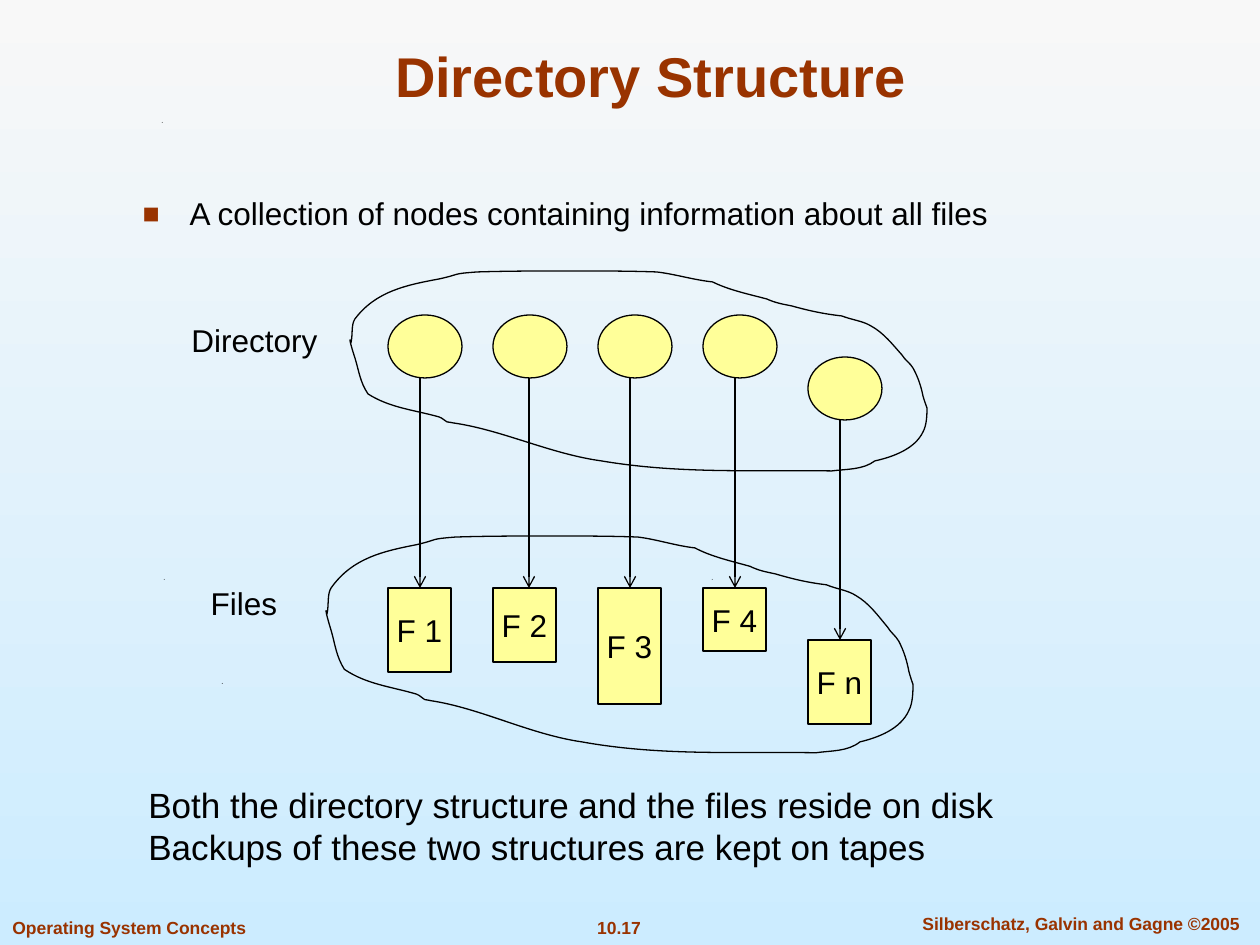
from pptx import Presentation, util as u
from pptx.dml import color
from pptx.enum import shapes, text
from pptx.oxml import ns
from lxml import etree

SCALE = 914400 / 126
BLACK, RUST, YELLOW = "000000", "993300", "FFFF99"
OUTLINE_SIZE = 576, 203
OUTLINE = [
    (1, 72), (3, 63), (1, 54), (5, 48), (26, 20), (57, 14), (89, 8),
    (112, 3), (100, 3), (127, 1), (159, 0), (190, 0), (223, 0),
    (251, 0), (278, 0), (306, 1), (324, 3), (343, 9), (362, 11),
    (378, 19), (397, 23), (416, 28), (425, 32), (431, 33), (441, 35),
    (459, 40), (473, 43), (491, 45), (501, 49), (512, 50), (520, 55),
    (533, 62), (542, 74), (551, 84), (554, 89), (559, 92), (562, 97),
    (567, 106), (570, 115), (572, 125), (573, 129), (576, 137), (576, 137),
    (576, 142), (576, 154), (572, 161), (564, 178), (542, 186), (524, 190),
    (512, 199), (496, 198), (481, 200), (401, 199), (328, 203), (251, 190),
    (200, 183), (152, 159), (103, 152), (101, 152), (100, 151), (97, 151),
    (95, 150), (92, 147), (89, 146), (64, 139), (40, 137), (18, 123),
    (10, 111), (9, 100), (5, 87), (5, 87), (0, 72), (0, 69),
    (0, 68), (1, 71), (1, 72),
]


def px(value):
    return u.Emu(round(value * SCALE))


def rgb(value):
    return color.RGBColor.from_string(value)


def place(shape, box):
    shape.left, shape.top, shape.width, shape.height = map(px, box)


def add_child(parent, tag, **attributes):
    return etree.SubElement(parent, ns.qn(tag), attributes)


def write(shape, lines, size, hue=BLACK, bold=False, align=text.PP_ALIGN.LEFT,
          anchor=text.MSO_ANCHOR.TOP, wrap=True, before=0):
    frame = shape.text_frame
    frame.text = "\n".join(lines)
    frame.auto_size = text.MSO_AUTO_SIZE.NONE
    frame.word_wrap = wrap
    frame.vertical_anchor = anchor
    for paragraph in frame.paragraphs:
        paragraph.alignment = align
        paragraph.space_before = u.Pt(before)
        font = paragraph.font
        font.name, font.size, font.bold = "Arial", u.Pt(size), bold
        font.color.rgb = rgb(hue)


def add_label(slide, box, lines, size, **style):
    label = slide.shapes.add_textbox(*map(px, box))
    write(label, lines, size, **style)


def draw_line(line):
    line.color.rgb = rgb(BLACK)
    line.width = u.Pt(0.74)


def add_node(slide, kind, box):
    node = slide.shapes.add_shape(kind, *map(px, box))
    node.shadow.inherit = False
    node.fill.solid()
    node.fill.fore_color.rgb = rgb(YELLOW)
    draw_line(node.line)
    return node


def add_arrow(slide, x, top, bottom):
    arrow = slide.shapes.add_connector(
        shapes.MSO_CONNECTOR.STRAIGHT, px(x), px(top), px(x), px(bottom))
    draw_line(arrow.line)
    properties = arrow._element.spPr
    add_child(properties.find(ns.qn("a:ln")), "a:tailEnd", type="arrow")
    add_child(properties, "a:effectLst")


def add_freeform(slide, points):
    points = [(px(x), px(y)) for x, y in points]
    builder = slide.shapes.build_freeform(*points[0])
    builder.add_line_segments(points[1:], close=True)
    freeform = builder.convert_to_shape()
    freeform.shadow.inherit = False
    return freeform


def bend(freeform):
    segments = list(freeform._element.iter(ns.qn("a:lnTo")))
    for start in range(0, len(segments) - 2, 3):
        curve = etree.Element(ns.qn("a:cubicBezTo"))
        segments[start].addprevious(curve)
        for segment in segments[start:start + 3]:
            curve.append(segment[0])
            segment.getparent().remove(segment)


def add_outline(slide, box):
    left, top, width, height = box
    outline = add_freeform(slide, [
        (left + x * width / OUTLINE_SIZE[0], top + y * height / OUTLINE_SIZE[1])
        for x, y in OUTLINE])
    bend(outline)
    outline.fill.background()
    draw_line(outline.line)


def add_specks(slide, corners):
    for x, y in corners:
        speck = add_freeform(slide, [(x, y + 1), (x + 1, y), (x, y + 0.5)])
        speck.fill.solid()
        speck.fill.fore_color.rgb = rgb(BLACK)
        speck.line.fill.background()


def fill_background(slide):
    fill = slide.background.fill
    fill.gradient()
    fill.gradient_angle = 270
    for stop, hue in zip(fill.gradient_stops, ("F8F8F8", "CCECFF")):
        stop.color.rgb = rgb(hue)


def add_heading(slide, box):
    title = slide.shapes.title
    place(title, box)
    write(title, ["Directory Structure"], 32, hue=RUST, bold=True,
          align=text.PP_ALIGN.CENTER, anchor=text.MSO_ANCHOR.BOTTOM)


def add_bullet(slide, box):
    body = slide.placeholders[1]
    place(body, box)
    write(body, ["A collection of nodes containing information about all files"],
          18, before=7.9)
    paragraph = body.text_frame.paragraphs[0]
    paragraph.line_spacing = 0.9
    properties = paragraph._p.get_or_add_pPr()
    properties.set("marL", str(px(47)))
    properties.set("indent", str(px(-47)))
    bullet = [etree.Element(ns.qn(tag)) for tag in ("a:buClr", "a:buSzPct", "a:buFont", "a:buChar")]
    add_child(bullet[0], "a:srgbClr", val=RUST)
    bullet[1].set("val", "90000")
    bullet[2].set("typeface", "Arial")
    bullet[3].set("char", "■")
    default_run = properties.find(ns.qn("a:defRPr"))
    for element in bullet:
        default_run.addprevious(element)


def add_diagram(slide, box):
    left, top = box[:2]
    files = [("F 1", 32, 0, 0, 84), ("F 2", 36, 0, 0, 74), ("F 3", 32, 0, 0, 116),
             ("F 4", 32, 0, 0, 63), ("F n", 32, 42, 52, 84)]
    for index, (name, stem, node_drop, file_drop, height) in enumerate(files):
        x = left + 62 + 105 * index
        node_top, file_top = top + 44 + node_drop, top + 317 + file_drop
        add_node(slide, shapes.MSO_SHAPE.OVAL, (x, node_top, 74, 63))
        file = add_node(slide, shapes.MSO_SHAPE.RECTANGLE, (x, file_top, 63, height))
        write(file, [name], 18, align=text.PP_ALIGN.CENTER,
              anchor=text.MSO_ANCHOR.MIDDLE, wrap=False)
        add_arrow(slide, x + stem, node_top + 63, file_top)
    add_outline(slide, (left + 24, top, 577, 203))
    add_outline(slide, (left, top + 265, 587, 220))
    for name, label_box in (("Directory", (left - 147, top + 44, 151, 50)),
                            ("Files", (left - 128, top + 307, 92, 50))):
        add_label(slide, label_box, [name], 18, align=text.PP_ALIGN.CENTER,
                  anchor=text.MSO_ANCHOR.MIDDLE, wrap=False, before=11.2)


def add_footer(slide, box):
    left, top, width, height = box
    parts = [("Operating System Concepts", 0, 0, 258, text.PP_ALIGN.LEFT, False),
             ("10.17", 552, 0, 134, text.PP_ALIGN.CENTER, False),
             ("Silberschatz, Galvin and Gagne ©2005", 894, -4, 374, text.PP_ALIGN.CENTER, True)]
    for words, x, y, part_width, align, wrap in parts:
        add_label(slide, (left + x, top + y, part_width, height), [words], 10,
                  hue=RUST, bold=True, align=align, wrap=wrap, before=6.2)


presentation = Presentation()
presentation.slide_width, presentation.slide_height = px(1260), px(945)
slide = presentation.slides.add_slide(presentation.slide_layouts[1])
fill_background(slide)
add_specks(slide, [(222, 683), (164, 579), (712, 579), (162, 122)])
add_footer(slide, (0, 911, 1260, 34))
add_heading(slide, (94, 31, 1113, 84))
add_bullet(slide, (130, 192, 907, 48))
add_diagram(slide, (326, 271, 601, 485))
add_label(slide, (136, 777, 969, 53),
          ["Both the directory structure and the files reside on disk",
           "Backups of these two structures are kept on tapes"], 20)
presentation.save("out.pptx")
